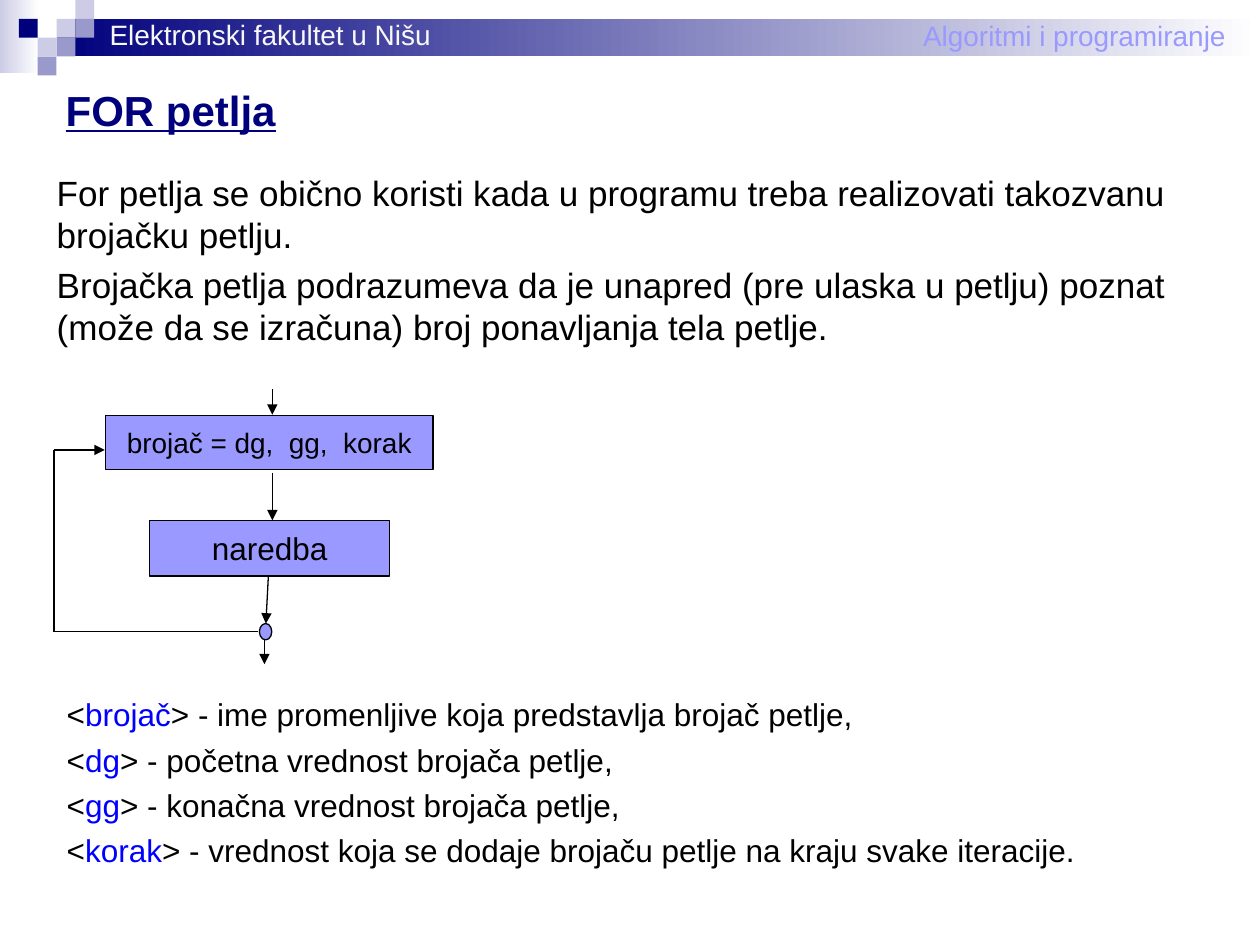
from lxml.etree import SubElement
from pptx import Presentation
from pptx.dml.color import RGBColor
from pptx.enum.shapes import MSO_CONNECTOR, MSO_SHAPE as SHAPE
from pptx.enum.text import MSO_ANCHOR as ANCHOR, MSO_AUTO_SIZE as AUTO, PP_ALIGN as ALIGN
from pptx.oxml.ns import qn
from pptx.util import Cm, Pt

rgb = RGBColor.from_string
NAVY, LILAC, BLACK, BLUE = "00007D", "9999FF", "000000", "0000FF"


def add_box(kind, x, y, w, h, fill, outline=None):
    """Add a flat shape; a tuple as fill gives a left-to-right gradient."""
    s = slide.shapes.add_shape(kind, Cm(x), Cm(y), Cm(w), Cm(h))
    s.shadow.inherit = False
    if isinstance(fill, tuple):
        s.fill.gradient()
        s.fill.gradient_angle = 0
        for stop, color in zip(s.fill.gradient_stops, fill):
            stop.color.rgb = rgb(color)
    else:
        s.fill.solid()
        s.fill.fore_color.rgb = rgb(fill)
    if outline:
        s.line.color.rgb = rgb(outline)
        s.line.width = Pt(0.75)
    else:
        s.line.fill.background()
    return s


def write(s, paragraphs, size, align=ALIGN.LEFT, anchor=ANCHOR.TOP, wrap=True,
          leading=None, gap=0):
    """Fill a shape with paragraphs, each a list of (text, colour) runs."""
    tf = s.text_frame
    tf.word_wrap, tf.auto_size, tf.vertical_anchor = wrap, AUTO.NONE, anchor
    for i, runs in enumerate(paragraphs):
        p = tf.add_paragraph() if i else tf.paragraphs[0]
        pPr = p._p.get_or_add_pPr()
        pPr.set("marL", "0")
        pPr.set("indent", "0")
        SubElement(pPr, qn("a:buNone"))
        p.alignment = align
        p.space_before = Pt(gap if i else 0)
        if leading:
            p.line_spacing = Pt(leading)
        for text, color in runs:
            r = p.add_run()
            r.text = text
            r.font.name, r.font.size = "Arial", Pt(size)
            r.font.color.rgb = rgb(color)


prs = Presentation()
prs.slide_width, prs.slide_height = Cm(25.4), Cm(19.05)
slide = prs.slides.add_slide(prs.slide_layouts[3])

# Header band with its mosaic of squares
add_box(SHAPE.RECTANGLE, 0, 0, 0.79, 1.47, ("CCCCE6", "FFFFFF"))
add_box(SHAPE.RECTANGLE, 1.14, 0.38, 24.26, 0.76, (NAVY, "FFFFFF"))
TILE = 0.38
for col, row, color in [(3, 1, "CCCCE6"), (4, 0, "CCCCE6"), (4, 1, "9999CC"),
                        (2, 2, "CCCCE6"), (1, 1, NAVY), (3, 2, "9999CC"),
                        (2, 3, "9999CC")]:
    add_box(SHAPE.RECTANGLE, col * TILE, row * TILE, TILE, TILE, color)

for text, x, y, w, color in [("Algoritmi i programiranje", 18.36, 0.25, 6.6, LILAC),
                             ("Elektronski fakultet u Nišu", 1.96, 0.23, 6.99, "F8F8F8")]:
    s = slide.shapes.add_textbox(Cm(x), Cm(y), Cm(w), Cm(0.94))
    write(s, [[(text, color)]], 16, wrap=False)

# Title, introduction and list of terms
title, intro, terms = slide.placeholders
for s, x, y, w, h in [(title, 1.07, 1.57, 4.9, 1.27),
                      (intro, 0.89, 3.33, 23.06, 3.81),
                      (terms, 1.09, 13.89, 21.5, 3.76)]:
    s.left, s.top, s.width, s.height = Cm(x), Cm(y), Cm(w), Cm(h)

write(title, [[("FOR petlja", NAVY)]], 24, wrap=False)
font = title.text_frame.paragraphs[0].runs[0].font
font.bold = font.underline = True

write(intro, [
    [("For petlja se obično koristi kada u programu treba realizovati takozvanu "
      "brojačku petlju.", BLACK)],
    [("Brojačka petlja podrazumeva da je unapred (pre ulaska u petlju) poznat "
      "(može da se izračuna) broj ponavljanja tela petlje.", BLACK)],
], 20, leading=24, gap=4.8)

meanings = [
    ("brojač", "ime promenljive koja predstavlja brojač petlje,"),
    ("dg", "početna vrednost brojača petlje,"),
    ("gg", "konačna vrednost brojača petlje,"),
    ("korak", "vrednost koja se dodaje brojaču petlje na kraju svake iteracije."),
]
write(terms, [[("<", BLACK), (term, BLUE), (f"> - {meaning}", BLACK)]
              for term, meaning in meanings], 18, leading=21.6, gap=4.3)

# Flowchart
for text, x, y, w, h, size in [("brojač = dg,  gg,  korak", 2.13, 8.38, 6.6, 1.09, 16),
                               ("naredba", 3.02, 10.49, 4.83, 1.12, 18)]:
    s = add_box(SHAPE.FLOWCHART_PROCESS, x, y, w, h, LILAC, BLACK)
    write(s, [[(text, BLACK)]], size, ALIGN.CENTER, ANCHOR.MIDDLE, wrap=False)
add_box(SHAPE.FLOWCHART_CONNECTOR, 5.23, 12.57, 0.25, 0.33, LILAC, BLACK)

for x1, y1, x2, y2, arrow in [
    (5.49, 7.85, 5.49, 8.36, True),
    (5.49, 9.53, 5.49, 10.49, True),
    (5.41, 11.61, 5.36, 12.57, True),
    (5.33, 12.9, 5.33, 13.39, True),
    (5.21, 12.73, 1.07, 12.73, False),
    (1.09, 12.73, 1.09, 9.07, False),
    (1.09, 9.07, 2.11, 9.07, True),
]:
    s = slide.shapes.add_connector(MSO_CONNECTOR.STRAIGHT, Cm(x1), Cm(y1), Cm(x2), Cm(y2))
    s.line.color.rgb = rgb(BLACK)
    s.line.width = Pt(0.75)
    if arrow:
        SubElement(s.line._get_or_add_ln(), qn("a:tailEnd"), type="triangle")
    SubElement(s._element.spPr, qn("a:effectLst"))

prs.save("out.pptx")
